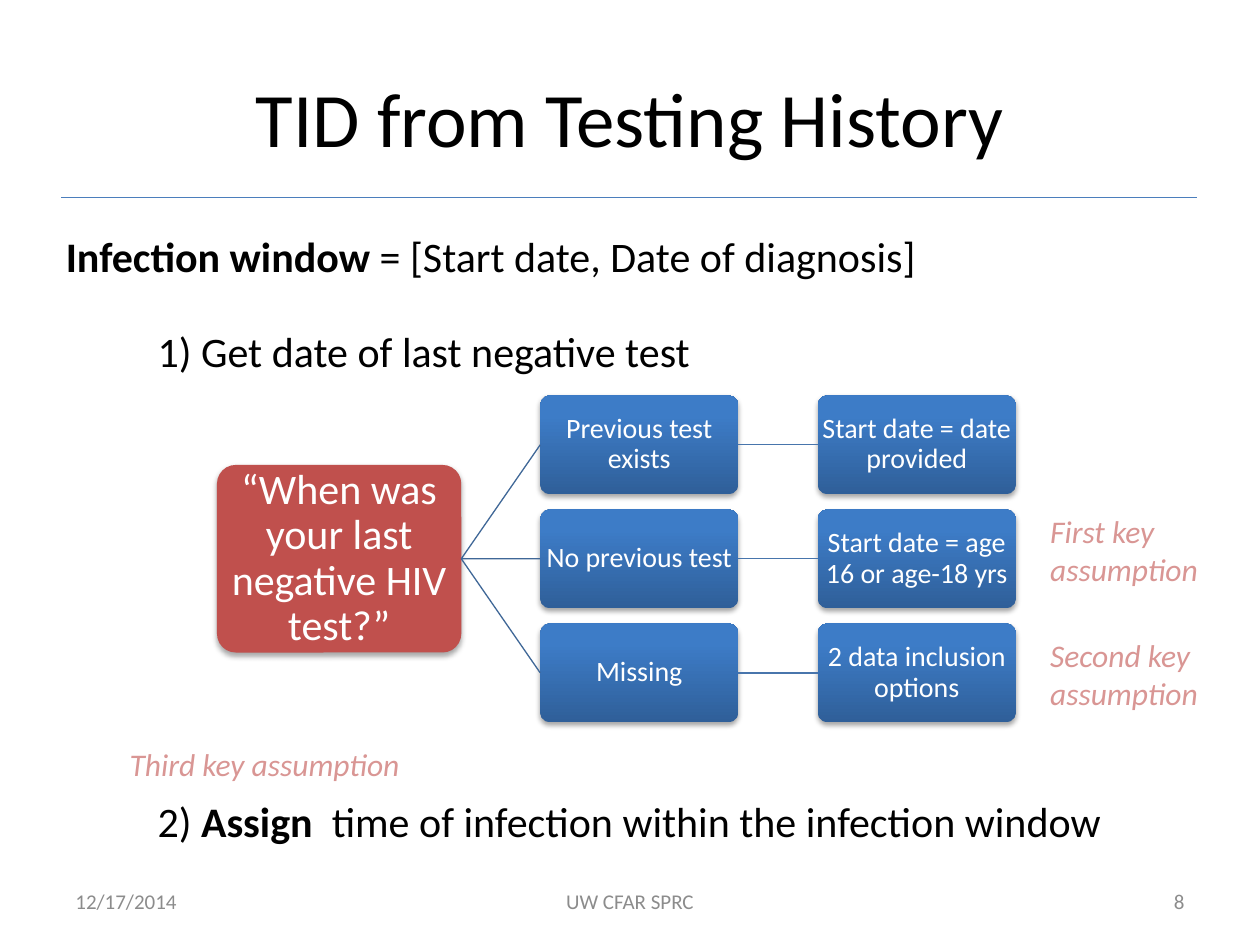
from lxml import etree
from pptx import Presentation
from pptx.dml.color import RGBColor
from pptx.enum.shapes import MSO_CONNECTOR, MSO_SHAPE
from pptx.enum.text import MSO_ANCHOR, PP_ALIGN
from pptx.oxml.ns import qn
from pptx.util import Pt

STRAIGHT = MSO_CONNECTOR.STRAIGHT
ROUNDED = MSO_SHAPE.ROUNDED_RECTANGLE
TOP, MIDDLE = MSO_ANCHOR.TOP, MSO_ANCHOR.MIDDLE
LEFT, CENTER, RIGHT = PP_ALIGN.LEFT, PP_ALIGN.CENTER, PP_ALIGN.RIGHT
LEFT_SIDE, RIGHT_SIDE = 1, 3

BLACK = RGBColor(0x00, 0x00, 0x00)
WHITE = RGBColor(0xFF, 0xFF, 0xFF)
GRAY = RGBColor(0x8C, 0x8C, 0x8C)
ROSE = RGBColor(0xD9, 0x96, 0x94)
RED = RGBColor(0xC0, 0x50, 0x4D)
DARK_BLUE = RGBColor(0x2F, 0x5F, 0x99)
BLUE = RGBColor(0x3D, 0x7C, 0xC7)
RULE_BLUE = RGBColor(0x4B, 0x7E, 0xBC)
BRANCH_BLUE = RGBColor(0x3F, 0x67, 0x97)
LINK_BLUE = RGBColor(0x48, 0x75, 0xAC)


class SlideBuilder:
    font = "Calibri"
    line_width = 0.75

    def __init__(self, page):
        self.page = page

    def style(self, span, size, color, bold=False, italic=False):
        span.font.name = self.font
        span.font.size = Pt(size)
        span.font.color.rgb = color
        span.font.bold = bold
        span.font.italic = italic

    def text(self, area, spans, size, color=BLACK, align=LEFT, anchor=TOP,
             wrap=True, italic=False):
        """Add a text box; spans is a list of (text, bold) pairs."""
        box = self.page.shapes.add_textbox(*map(Pt, area))
        frame = box.text_frame
        frame.word_wrap = wrap
        frame.vertical_anchor = anchor
        para = frame.paragraphs[0]
        para.alignment = align
        for words, bold in spans:
            span = para.add_run()
            span.text = words
            self.style(span, size, color, bold, italic)

    def node(self, area, words, size, inset, color=None):
        """Add a shadowed rounded box, blue gradient unless a color is given."""
        box = self.page.shapes.add_shape(ROUNDED, *map(Pt, area))
        box.adjustments[0] = 0.1
        box.line.fill.background()
        if color is None:
            box.fill.gradient()
            box.fill.gradient_angle = 90
            bottom, top = box.fill.gradient_stops
            bottom.color.rgb, bottom.position = DARK_BLUE, 0
            top.color.rgb, top.position = BLUE, 0.8
        else:
            box.fill.solid()
            box.fill.fore_color.rgb = color
        self.drop_shadow(box)

        frame = box.text_frame
        frame.word_wrap = True
        frame.vertical_anchor = MIDDLE
        frame.margin_left = frame.margin_right = Pt(inset)
        frame.margin_top = frame.margin_bottom = Pt(inset)
        frame.text = words
        para = frame.paragraphs[0]
        para.alignment = CENTER
        para.line_spacing = 0.9
        self.style(para.runs[0], size, WHITE)
        return box

    def drop_shadow(self, box):
        box.shadow.inherit = False
        effects = box._element.spPr.find(qn("a:effectLst"))
        shadow = etree.SubElement(
            effects, qn("a:outerShdw"), blurRad=str(Pt(3.1)),
            dist=str(Pt(1.8)), dir="5400000", rotWithShape="0")
        tint = etree.SubElement(shadow, qn("a:srgbClr"), val="000000")
        etree.SubElement(tint, qn("a:alpha"), val="35000")

    def line(self, color, start=(0, 0), end=(0, 0)):
        line = self.page.shapes.add_connector(
            STRAIGHT, *map(Pt, (*start, *end)))
        line.line.color.rgb = color
        line.line.width = Pt(self.line_width)
        etree.SubElement(line._element.spPr, qn("a:effectLst"))
        return line

    def link(self, source, target, color):
        line = self.line(color)
        line.begin_connect(source, RIGHT_SIDE)
        line.end_connect(target, LEFT_SIDE)


def add_decision_tree(slide):
    answers = [
        ("Previous test exists", "Start date = date provided"),
        ("No previous test", "Start date = age 16 or age-18 yrs"),
        ("Missing", "2 data inclusion options"),
    ]
    top, pitch, width, height = 225.9, 65.15, 113.2, 56.6
    answer_left, result_left = 308.7, 467.3
    question = slide.node((124, 265.7, 139.6, 107.2),
                          "“When was your last negative HIV test?”",
                          24, 1.4, RED)
    for row, (answer, result) in enumerate(answers):
        y = top + row * pitch
        answer_box = slide.node((answer_left, y, width, height), answer, 16, 0.6)
        result_box = slide.node((result_left, y, width, height), result, 16, 0.6)
        slide.link(question, answer_box, BRANCH_BLUE)
        slide.link(answer_box, result_box, LINK_BLUE)


def main():
    deck = Presentation()
    deck.slide_width, deck.slide_height = Pt(720), Pt(540)
    slide = SlideBuilder(deck.slides.add_slide(deck.slide_layouts[6]))

    slide.line(RULE_BLUE, (35, 112.9), (684, 112.9))
    slide.text((36, 21.6, 648, 90), [("TID from Testing History", False)], 44,
               align=CENTER, anchor=MIDDLE)
    add_decision_tree(slide)

    footers = [
        (36, 168, "12/17/2014", LEFT),
        (246, 228, "UW CFAR SPRC", CENTER),
        (516, 168, "8", RIGHT),
    ]
    for left, width, words, align in footers:
        slide.text((left, 500.5, width, 28.75), [(words, False)], 12, GRAY,
                   align, MIDDLE)

    statements = [
        ((30.5, 128, 505, 36.35), [("Infection window ", True),
                                   ("= [Start date, Date of diagnosis]", False)]),
        ((83, 182.3, 324, 36.35), [("1) Get date of last negative test", False)]),
        ((83, 451.3, 559, 36.35), [
            ("2) ", False), ("Assign", True),
            ("  time of infection within the infection window", False)]),
    ]
    for area, spans in statements:
        slide.text(area, spans, 24, wrap=False)

    assumptions = [
        ((67, 422, 170.6, 29), "Third key assumption", False),
        ((593, 360, 127, 51), "Second key assumption", True),
        ((593, 289, 127, 51), "First key assumption", True),
    ]
    for area, words, wrap in assumptions:
        slide.text(area, [(words, False)], 18, ROSE, wrap=wrap, italic=True)

    deck.save("out.pptx")


if __name__ == "__main__":
    main()
